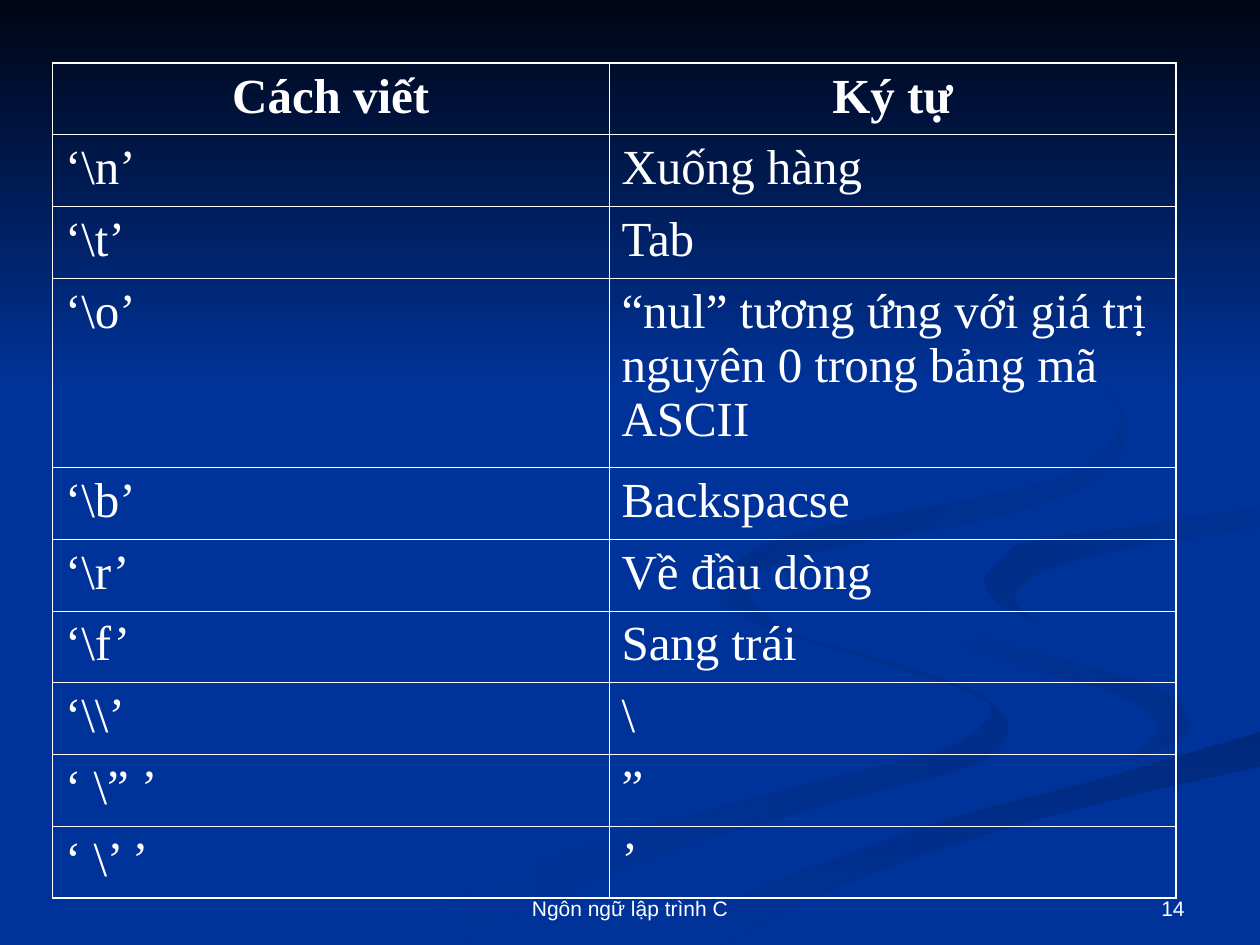
from dataclasses import dataclass
from itertools import chain

from lxml import etree
from pptx import Presentation
from pptx import util as u
from pptx.dml.color import RGBColor
from pptx.enum import shapes, text
from pptx.oxml import ns

Point = tuple[float, float]
Edge = list[Point]

GRID_UNIT = u.Inches(10) / 120
STEPS_PER_BEND = 6
THIN, THICK = u.Pt(0.45), u.Pt(1.08)
COLORS = {
    "ground": "003399",
    "night": "000514",
    "text": "FFFFFF",
    "shade": "002E8A",
    "deep_shade": "00297C",
    "curl_shade": "002C85",
    "swirl_shade": "002B81",
}


@dataclass(frozen=True)
class Frame:
    col: float
    row: float
    cols: float
    rows: float

    def lengths(self) -> list[int]:
        return [round(n * GRID_UNIT) for n in (self.col, self.row, self.cols, self.rows)]


@dataclass(frozen=True)
class Gradient:
    start: str
    end: str
    angle: int


@dataclass(frozen=True)
class Ribbon:
    gradient: Gradient
    outward: list[Edge]
    homeward: list[Edge]


@dataclass(frozen=True)
class Footer:
    frame: Frame
    words: str
    align: text.PP_ALIGN


LEFT_OUTER = [(69, 55), (70, 57.2), (75, 60.2), (86, 63.4), (93.7, 66.4),
              (96, 69.7), (92.3, 73), (78, 76.8), (60, 82.4), (43.3, 90)]
LEFT_INNER = [(69, 55), (68.4, 56.4), (72, 59.4), (83.6, 63), (92.4, 66),
              (94.3, 68), (90, 71.3), (78, 74.4), (60, 79.3), (45, 84.8), (36, 90)]
FOLD_OUTER = [(87, 55.7), (89.4, 58.8), (95, 61), (104.4, 63.6), (110.3, 65.6),
              (113.2, 68.4), (111.8, 70.7), (107.3, 72.6)]
FOLD_INNER = [(87, 55.7), (89.5, 60), (95.6, 63), (104.2, 65.3), (108.8, 67.4),
              (110.2, 69.7), (107.3, 72.6)]
FOLD_TAIL = [(107.3, 72.6), (97.6, 75), (84.5, 78.6), (68.8, 84.4), (57.2, 90)]
BANK_TOP = [(120, 69.7), (104, 74.4), (91.7, 77.6), (75.6, 83.2), (65.2, 88), (60.4, 90)]
BANK_BOTTOM = [(120, 73), (108.4, 75.6), (94.2, 79.3), (80.4, 84.2), (68.5, 90)]
CURL_TOP = [(120, 46.4), (110.4, 48), (99.6, 49.8), (90.6, 51.8), (87, 55.7)]
CURL_BOTTOM = [(120, 48.2), (108, 50.2), (98, 51.6), (95, 53.6), (93.7, 55.2)]
CURL_TURN = [(93.7, 55.2), (95, 57.4), (99, 59.5)]
CURL_LIP = [(120, 50.4), (107.5, 52.2), (99.4, 54.4), (96.6, 57), (99, 59.5)]
CURL_SHELF = [(93.7, 55.2), (98, 59), (108.5, 62.3), (120, 64.6)]
SWIRL_OUTER = [(91.4, 28), (98.5, 31.3), (104.8, 36), (107.3, 41.3), (104, 46),
               (94.3, 49.4), (82, 51.6), (73.7, 53.8), (71.2, 56.4), (74.6, 60)]
SWIRL_INNER = [(91.4, 28), (99, 32), (105, 36.7), (106.7, 40.2), (103.3, 44.4), (95, 47),
               (81, 49.7), (72.6, 52), (69.2, 55.4), (72.5, 59), (74.6, 60)]

RIBBONS = [
    Ribbon(Gradient("shade", "ground", 180), [LEFT_OUTER], [LEFT_INNER]),
    Ribbon(Gradient("shade", "ground", 225), [FOLD_OUTER], [FOLD_INNER]),
    Ribbon(Gradient("deep_shade", "ground", 90), [BANK_TOP], [BANK_BOTTOM]),
    Ribbon(Gradient("ground", "ground", 0),
           [CURL_TOP, FOLD_OUTER, FOLD_TAIL], [CURL_BOTTOM, CURL_SHELF, BANK_TOP]),
    Ribbon(Gradient("ground", "curl_shade", 225), [CURL_BOTTOM, CURL_TURN], [CURL_LIP]),
    Ribbon(Gradient("ground", "swirl_shade", 225), [SWIRL_OUTER], [SWIRL_INNER]),
]

SKY = Frame(0, 0, 120, 37)
ESCAPES = Frame(5, 6, 107, 79.56)
ESCAPE_COLS = [53, 54]
LINE_ROWS, TALL_ROWS = 6.84, 18
ESCAPE_ROWS = [
    ("Cách viết", "Ký tự"),
    ("‘\\n’", "Xuống hàng"),
    ("‘\\t’", "Tab"),
    ("‘\\o’", "“nul” tương ứng với giá trị nguyên 0 trong bảng mã ASCII"),
    ("‘\\b’", "Backspacse"),
    ("‘\\r’", "Về đầu dòng"),
    ("‘\\f’", "Sang trái"),
    ("‘\\\\’", "\\"),
    ("‘ \\” ’", "”"),
    ("‘ \\’ ’", "’"),
]
TALL_ROW = 3
FOOTERS = [
    Footer(Frame(41, 82, 38, 6.25), "Ngôn ngữ lập trình C", text.PP_ALIGN.CENTER),
    Footer(Frame(86, 82, 28, 6.25), "14", text.PP_ALIGN.RIGHT),
]


def rgb(name: str) -> RGBColor:
    return RGBColor.from_string(COLORS[name])


def apply(target, values: dict) -> None:
    for key, value in values.items():
        setattr(target, key, value)


def spline(before: float, start: float, end: float, after: float, t: float) -> float:
    slope = end - before
    bend = 2 * before - 5 * start + 4 * end - after
    twist = 3 * (start - end) + after - before
    return start + (slope * t + bend * t**2 + twist * t**3) / 2


def smooth(edge: Edge) -> Edge:
    padded = [edge[0], *edge, edge[-1]]
    curve = [
        tuple(spline(*axis, step / STEPS_PER_BEND) for axis in zip(*knots))
        for knots in zip(padded, padded[1:], padded[2:], padded[3:])
        for step in range(STEPS_PER_BEND)
    ]
    return curve + [edge[-1]]


def join(edges: list[Edge]) -> Edge:
    return list(chain.from_iterable(map(smooth, edges)))


def shade(shape, gradient: Gradient) -> None:
    shape.shadow.inherit = False
    shape.line.fill.background()
    if gradient.start == gradient.end:
        shape.fill.solid()
        shape.fill.fore_color.rgb = rgb(gradient.start)
        return
    shape.fill.gradient()
    shape.fill.gradient_angle = 360 - gradient.angle
    for stop, name in zip(shape.fill.gradient_stops, (gradient.start, gradient.end)):
        stop.color.rgb = rgb(name)


def draw_ribbon(slide, ribbon: Ribbon) -> None:
    loop = join(ribbon.outward) + join(ribbon.homeward)[::-1]
    first, *rest = [(round(x * GRID_UNIT), round(y * GRID_UNIT)) for x, y in loop]
    outline = slide.shapes.build_freeform(*first)
    outline.add_line_segments(rest, close=True)
    shade(outline.convert_to_shape(), ribbon.gradient)


def write(frame, words: str, align: text.PP_ALIGN, font: dict) -> None:
    paragraph = frame.paragraphs[0]
    paragraph.alignment = align
    run = paragraph.add_run()
    run.text = words
    apply(run.font, font)
    run.font.color.rgb = rgb("text")


def draw_border(cell, side: str, width: int) -> None:
    line = etree.SubElement(cell._tc.get_or_add_tcPr(), ns.qn(f"a:ln{side}"), w=str(int(width)))
    fill = etree.SubElement(line, ns.qn("a:solidFill"))
    etree.SubElement(fill, ns.qn("a:srgbClr"), val=COLORS["text"])


def draw_escapes(slide) -> None:
    last_row, last_col = len(ESCAPE_ROWS) - 1, len(ESCAPE_COLS) - 1
    table = slide.shapes.add_table(last_row + 1, last_col + 1, *ESCAPES.lengths()).table
    apply(table, {"first_row": False, "horz_banding": False})
    for column, cols in zip(table.columns, ESCAPE_COLS):
        column.width = round(cols * GRID_UNIT)
    for r, entries in enumerate(ESCAPE_ROWS):
        table.rows[r].height = round((TALL_ROWS if r == TALL_ROW else LINE_ROWS) * GRID_UNIT)
        for c, words in enumerate(entries):
            cell = table.cell(r, c)
            outer = {"L": c == 0, "R": c == last_col, "T": r == 0, "B": r == last_row}
            for side, is_outer in outer.items():
                draw_border(cell, side, THICK if is_outer else THIN)
            cell.fill.background()
            align = text.PP_ALIGN.CENTER if r == 0 else text.PP_ALIGN.LEFT
            font = {"name": "Times New Roman", "size": u.Pt(28), "bold": r == 0}
            write(cell.text_frame, words, align, font)


def draw_footer(slide, footer: Footer) -> None:
    frame = slide.shapes.add_textbox(*footer.frame.lengths()).text_frame
    apply(frame, {"word_wrap": True, "vertical_anchor": text.MSO_ANCHOR.BOTTOM})
    write(frame, footer.words, footer.align, {"name": "Arial", "size": u.Pt(12)})


def main() -> None:
    deck = Presentation()
    apply(deck, {"slide_width": u.Inches(10), "slide_height": u.Inches(7.5)})
    slide = deck.slides.add_slide(deck.slide_layouts[6])
    slide.background.fill.solid()
    slide.background.fill.fore_color.rgb = rgb("ground")
    for ribbon in RIBBONS:
        draw_ribbon(slide, ribbon)
    sky = slide.shapes.add_shape(shapes.MSO_SHAPE.RECTANGLE, *SKY.lengths())
    shade(sky, Gradient("night", "ground", 90))
    draw_escapes(slide)
    for footer in FOOTERS:
        draw_footer(slide, footer)
    deck.save("out.pptx")


if __name__ == "__main__":
    main()
